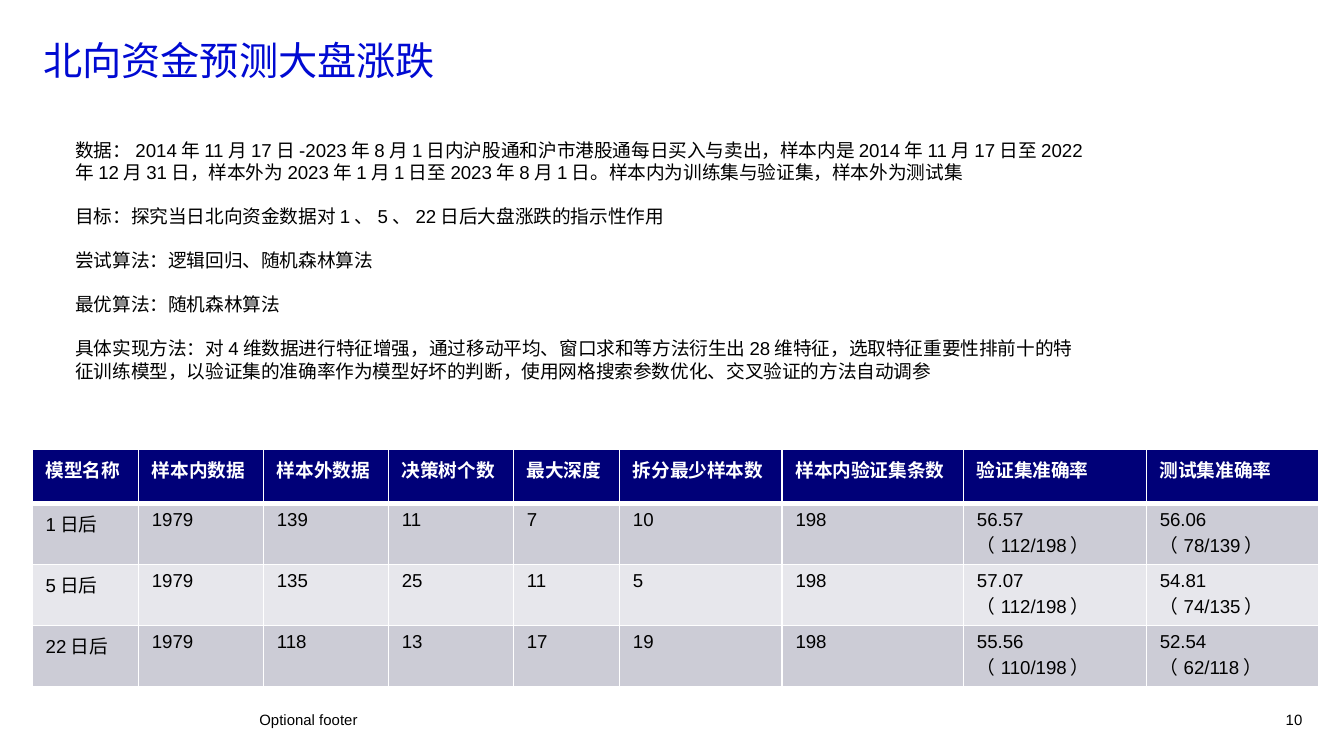
from lxml import etree
from pptx import Presentation
from pptx.dml.color import RGBColor
from pptx.enum.text import MSO_ANCHOR, PP_ALIGN
from pptx.oxml.ns import qn
from pptx.util import Inches, Pt

LEFT, RIGHT = PP_ALIGN.LEFT, PP_ALIGN.RIGHT
TOP, MIDDLE = MSO_ANCHOR.TOP, MSO_ANCHOR.MIDDLE
COLORS = {"title": "000AD2", "text": "000000", "white": "FFFFFF",
          "head": "000078", "odd": "CCCCD6", "even": "E7E7EC"}


def style(para, size, color, bold=False):
    font = para.font
    font.name, font.size, font.bold = "Arial", Pt(size), bold
    font.color.rgb = RGBColor.from_string(COLORS[color])


def add_text(box, lines, size, color="text", align=LEFT, anchor=TOP):
    frame = slide.shapes.add_textbox(*[Inches(v) for v in box]).text_frame
    frame.word_wrap = True
    frame.vertical_anchor = anchor
    frame.margin_left = frame.margin_right = 0
    frame.margin_top = frame.margin_bottom = 0
    for i, line in enumerate(lines):
        para = frame.add_paragraph() if i else frame.paragraphs[0]
        para.text = line
        para.alignment = align
        if i:
            para.space_before = Pt(11.6)
        style(para, size, color)


# 16:9 slide
prs = Presentation()
prs.slide_width = Inches(10)
prs.slide_height = Inches(10) * 9 // 16
slide = prs.slides.add_slide(prs.slide_layouts[6])

# Footer and page number
add_text((1.93, 5.28, 6.46, 0.15), ["Optional footer"], 8, anchor=MIDDLE)
add_text((9.3, 5.28, 0.39, 0.15), ["10"], 8, align=RIGHT, anchor=MIDDLE)

# Title and method notes
notes = [
    "数据：2014年11月17日-2023年8月1日内沪股通和沪市港股通每日买入与卖出，样本内是2014年11月17日至2022年12月31日，样本外为2023年1月1日至2023年8月1日。样本内为训练集与验证集，样本外为测试集",
    "目标：探究当日北向资金数据对1、5、22日后大盘涨跌的指示性作用",
    "尝试算法：逻辑回归、随机森林算法",
    "最优算法：随机森林算法",
    "具体实现方法：对4维数据进行特征增强，通过移动平均、窗口求和等方法衍生出28维特征，选取特征重要性排前十的特征训练模型，以验证集的准确率作为模型好坏的判断，使用网格搜索参数优化、交叉验证的方法自动调参",
]
add_text((0.56, 1.03, 7.55, 1.92), notes, 10)
add_text((0.32, 0.27, 4.68, 0.62), ["北向资金预测大盘涨跌"], 21, "title")

# Results table
rows = [
    ["模型名称", "样本内数据", "样本外数据", "决策树个数", "最大深度",
     "拆分最少样本数", "样本内验证集条数", "验证集准确率", "测试集准确率"],
    ["1日后", "1979", "139", "11", "7", "10", "198", "56.57（112/198）", "56.06（78/139）"],
    ["5日后", "1979", "135", "25", "11", "5", "198", "57.07（112/198）", "54.81（74/135）"],
    ["22日后", "1979", "118", "13", "17", "19", "198", "55.56（110/198）", "52.54（62/118）"],
]
widths = [0.79, 0.93, 0.93, 0.93, 0.79, 1.21, 1.35, 1.36, 1.28]
table = slide.shapes.add_table(len(rows), len(widths), Inches(0.24), Inches(3.34),
                               Inches(9.58), Inches(1.62)).table
for col, width in zip(table.columns, widths):
    col.width = Inches(width)

for r, row in enumerate(rows):
    fill = "head" if r == 0 else "odd" if r % 2 else "even"
    for c, text in enumerate(row):
        cell = table.cell(r, c)
        cell.text = text
        cell.margin_bottom = Inches(0.07)
        style(cell.text_frame.paragraphs[0], 10, "text" if r else "white", r == 0)

        # White borders, thick under the header
        props = cell._tc.get_or_add_tcPr()
        for side in "LRTB":
            thick = (r, side) in [(0, "B"), (1, "T")]
            line = etree.SubElement(props, qn(f"a:ln{side}"), w=str(Pt(3 if thick else 1)))
            solid = etree.SubElement(line, qn("a:solidFill"))
            etree.SubElement(solid, qn("a:srgbClr"), val=COLORS["white"])
        cell.fill.solid()
        cell.fill.fore_color.rgb = RGBColor.from_string(COLORS[fill])

prs.save("out.pptx")
